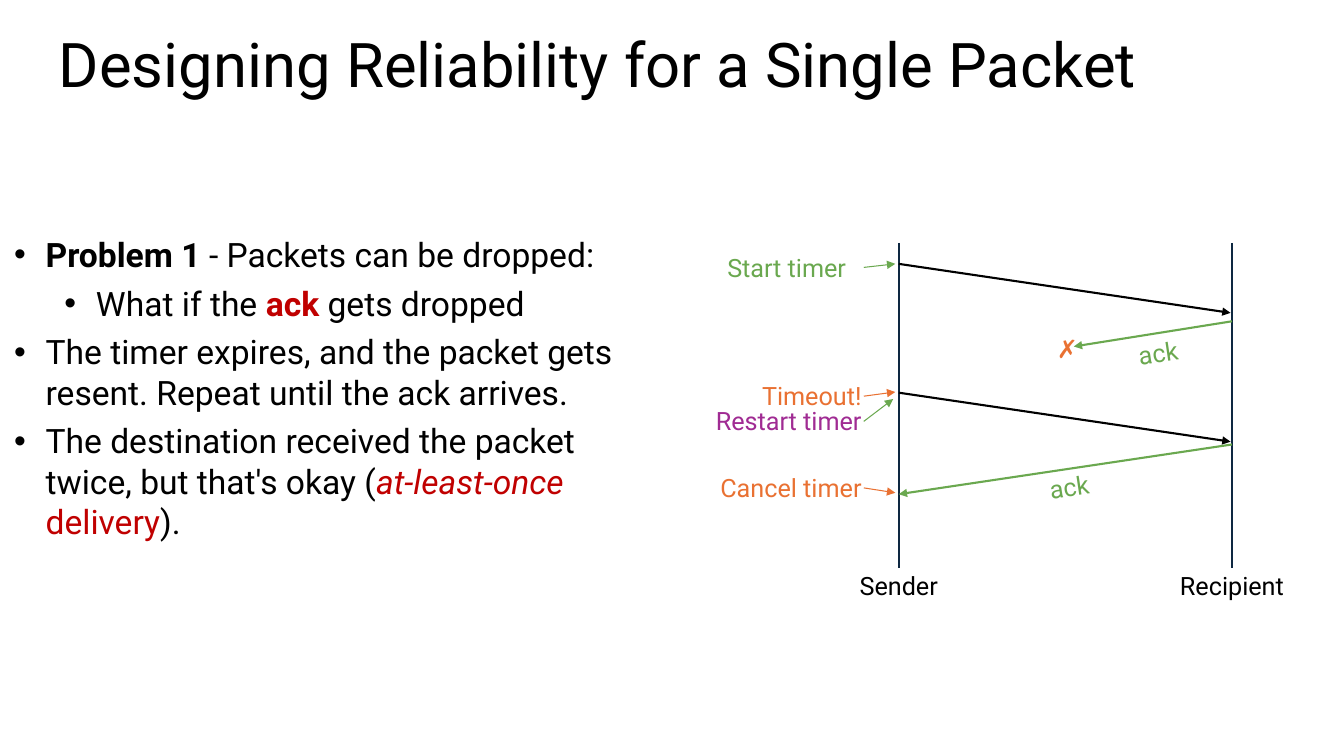
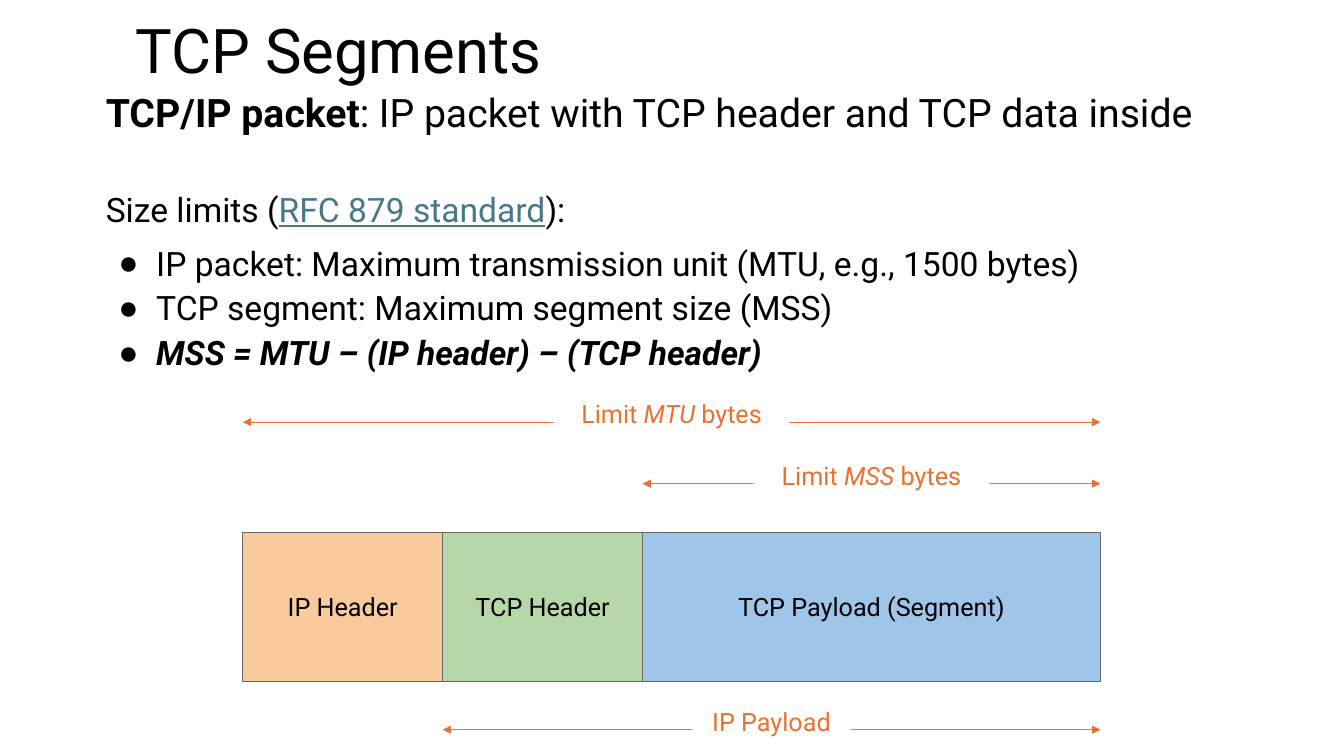
from lxml import etree
from pptx import Presentation
from pptx.dml.color import RGBColor
from pptx.enum.shapes import MSO_CONNECTOR, MSO_SHAPE
from pptx.enum.text import MSO_ANCHOR, PP_ALIGN
from pptx.oxml.ns import qn
from pptx.util import Pt

LEFT, MID, RIGHT = PP_ALIGN.LEFT, PP_ALIGN.CENTER, PP_ALIGN.RIGHT
TOP, CENTER = MSO_ANCHOR.TOP, MSO_ANCHOR.MIDDLE
RECT, LINE = MSO_SHAPE.RECTANGLE, MSO_CONNECTOR.STRAIGHT

BLACK, WHITE, GRAY, NAVY = "000000", "FFFFFF", "666666", "0E2841"
RED, GREEN, ORANGE, PURPLE = "C00000", "6AA84F", "E97132", "A02B93"
LINK, PEACH, MINT, SKY = "467886", "F9CB9C", "B6D7A8", "9FC5E8"


def color(code):
    return RGBColor.from_string(code)


def apply(target, values):
    for name, value in values.items():
        setattr(target, name, value)


class Deck:
    font = "Roboto"
    small = 18

    def __init__(self):
        self.prs = Presentation()
        self.prs.slide_width, self.prs.slide_height = Pt(960), Pt(540)
        self.slide = None

    def page(self):
        self.slide = self.prs.slides.add_slide(self.prs.slide_layouts[6])

    def fill_par(self, par, runs, size, ink, form):
        apply(par, form)
        for text, look in runs:
            run = par.add_run()
            run.text = text
            look = {"name": self.font, "size": Pt(size), **look}
            hue = look.pop("ink", ink)
            apply(run.font, look)
            run.font.color.rgb = color(hue)

    def frame(self, shape, pad, anchor=TOP):
        side, edge = pad
        frame = shape.text_frame
        apply(frame, {
            "word_wrap": True, "vertical_anchor": anchor,
            "margin_left": Pt(side), "margin_right": Pt(side),
            "margin_top": Pt(edge), "margin_bottom": Pt(edge)})
        return frame

    def box(self, at, pad):
        shape = self.slide.shapes.add_textbox(*map(Pt, at))
        return shape, self.frame(shape, pad)

    def title(self, text, at, pad):
        _, frame = self.box(at, (pad, pad))
        self.fill_par(frame.paragraphs[0], [(text, {})], 44, BLACK,
                      {"line_spacing": 0.9})

    def body(self, at, pad, items):
        _, frame = self.box(at, pad)
        for index, (runs, size, form, mark) in enumerate(items):
            par = frame.paragraphs[0] if index == 0 else frame.add_paragraph()
            self.fill_par(par, runs, size, BLACK, form)
            if mark:
                self.bullet(par, *mark)

    def bullet(self, par, char, left, hang):
        props = par._p.get_or_add_pPr()
        props.set("marL", str(Pt(left)))
        props.set("indent", str(-Pt(hang)))
        etree.SubElement(props, qn("a:buFont")).set("typeface", "Arial")
        etree.SubElement(props, qn("a:buChar")).set("char", char)

    def label(self, text, at, ink=BLACK, align=MID, turn=0, bold=False):
        shape, frame = self.box(at, (2, 2))
        shape.rotation = turn
        self.fill_par(frame.paragraphs[0], [(text, {"bold": bold})],
                      self.small, ink, {"alignment": align})

    def rect(self, at, fill, runs, ink=BLACK, edge=None, pad=7.2, anchor=CENTER):
        shape = self.slide.shapes.add_shape(RECT, *map(Pt, at))
        shape.shadow.inherit = False
        shape.fill.solid()
        shape.fill.fore_color.rgb = color(fill)
        if edge:
            shape.line.color.rgb = color(edge)
            shape.line.width = Pt(0.75)
        else:
            shape.line.fill.background()
        frame = self.frame(shape, (pad, pad), anchor)
        self.fill_par(frame.paragraphs[0], runs, self.small, ink,
                      {"alignment": MID})

    def line(self, start, end, ink, width=1.5, ends=("tailEnd",)):
        wire = self.slide.shapes.add_connector(LINE, *map(Pt, start + end))
        wire.line.color.rgb = color(ink)
        wire.line.width = Pt(width)
        props = wire._element.spPr
        for name in ends:
            tip = etree.SubElement(props.find(qn("a:ln")), qn("a:" + name))
            tip.set("type", "triangle")
        etree.SubElement(props, qn("a:effectLst"))

    def span(self, left, right, y, width, runs):
        self.line((left, y), (right, y), ORANGE, 0.75, ("headEnd", "tailEnd"))
        at = ((left + right - width) / 2, y - 18.75, width, 37.5)
        self.rect(at, WHITE, runs, ORANGE, pad=2, anchor=TOP)


def timing(deck):
    deck.page()
    deck.title("Designing Reliability for a Single Packet",
               (32.5, 15, 894, 88), 9.6)
    form = {"space_after": Pt(6)}
    main, sub = ("•", 22.5, 22.5), ("•", 58.5, 22.5)
    deck.body((3, 163.5, 477, 200), (7.2, 3.6), [
        ([("Problem 1 ", {"bold": True}),
          ("- Packets can be dropped:", {})], 24, form, main),
        ([("What if the ", {}), ("ack", {"bold": True, "ink": RED}),
          (" gets dropped", {})], 24, {"level": 1, **form}, sub),
        ([("The timer expires, and the packet gets resent. "
           "Repeat until the ack arrives.", {})], 24, form, main),
        ([("The destination received the packet twice, "
           "but that's okay (", {}),
          ("at-least-once", {"italic": True, "ink": RED}),
          (" delivery", {"ink": RED}), (").", {})], 24, form, main)])

    send, take = 642, 880
    for name, x in (("Sender", send), ("Recipient", take)):
        deck.line((x, 173.5), (x, 405.5), NAVY, ends=())
        deck.label(name, (x - 47, 405.5, 94, 22))
    for y in (188.5, 280.5):
        deck.line((send, y), (take - 1, y + 35), BLACK)
    for start, end, spot in (
            (229.5, (767, 247.5), (810, 239)),
            (317.5, (send, 353), (746.5, 335))):
        deck.line((take, start), end, GREEN)
        deck.label("ack", spot + (34, 22.5), GREEN, turn=-8.5)
    deck.label("✗", (753, 236, 16, 22), ORANGE, RIGHT, bold=True)

    for text, left, top, ink, align, start, tip, hue in (
            ("Start timer", 517.5, 178, GREEN, LEFT, 191, (639.5, 188.5), GREEN),
            ("Timeout!", 492.5, 269.5, ORANGE, RIGHT, 283, (639.5, 280), ORANGE),
            ("Restart timer", 492.5, 287.5, PURPLE, RIGHT, 301, (638, 285), GREEN),
            ("Cancel timer", 492.5, 335.5, ORANGE, RIGHT, 348.5, (639.5, 352), ORANGE)):
        deck.label(text, (left, top, 617.5 - left, 26), ink, align)
        deck.line((617, start), tip, hue, 0.75)


def segments(deck):
    deck.page()
    deck.title("TCP Segments", (89.5, 7, 781, 58), 7.2)
    first = {"line_spacing": 0.9, "space_before": Pt(6), "space_after": Pt(6)}
    rest = {**first, "space_before": Pt(0)}
    dot = ("●", 36, 27)
    deck.body((68.5, 60, 823, 217.5), (7.2, 7.2), [
        ([("TCP/IP packet", {"bold": True}),
          (": IP packet with TCP header and TCP data inside", {})],
         28, {**first, "space_after": Pt(35)}, None),
        ([("Size limits (", {}),
          ("RFC 879 standard", {"ink": LINK, "underline": True}),
          ("):", {})], 24, first, None),
        ([("IP packet: Maximum transmission unit (MTU, e.g., 1500 bytes)", {})],
         24, first, dot),
        ([("TCP segment: Maximum segment size (MSS)", {})], 24, rest, dot),
        ([("MSS = MTU – (IP header) – (TCP header)",
           {"bold": True, "italic": True})], 24, rest, dot)])

    stops = (173.5, 316.25, 459, 786)
    parts = (("IP Header", PEACH), ("TCP Header", MINT),
             ("TCP Payload (Segment)", SKY))
    for left, right, (text, fill) in zip(stops, stops[1:], parts):
        deck.rect((left, 380, right - left, 106.5), fill, [(text, {})],
                  edge=GRAY)
    for left, y, unit in ((stops[0], 301.5, "MTU"), (stops[2], 345.5, "MSS")):
        deck.span(left, stops[3], y, 168.5, [
            ("Limit ", {}), (unit, {"italic": True}), (" bytes", {})])
    deck.span(stops[1], stops[3], 521.25, 113, [("IP Payload", {})])


def main():
    deck = Deck()
    timing(deck)
    segments(deck)
    deck.prs.save("out.pptx")


if __name__ == "__main__":
    main()
